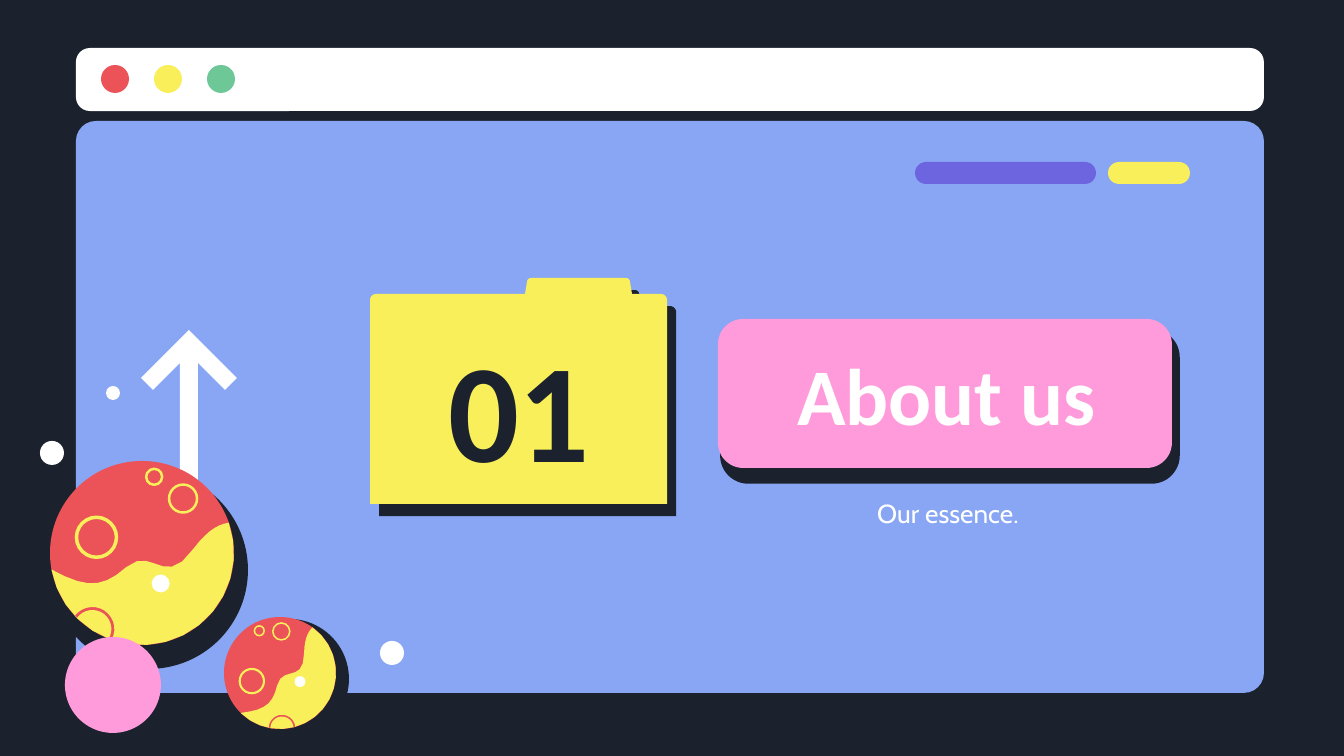
from math import atan2, cos, degrees, hypot, radians, sin

from lxml import etree
from pptx import Presentation
from pptx.dml.color import RGBColor
from pptx.enum.shapes import MSO_SHAPE
from pptx.enum.text import MSO_ANCHOR, MSO_AUTO_SIZE, PP_ALIGN
from pptx.oxml.ns import qn
from pptx.util import Pt

PX = 914400 / 134.4
NAVY = RGBColor(0x1B, 0x22, 0x2D)
BLUE = RGBColor(0x88, 0xA6, 0xF3)
WHITE = RGBColor(0xFF, 0xFF, 0xFF)
RED = RGBColor(0xEB, 0x53, 0x58)
YELLOW = RGBColor(0xF8, 0xEF, 0x5B)
GREEN = RGBColor(0x6D, 0xC7, 0x97)
PURPLE = RGBColor(0x6D, 0x65, 0xE0)
PINK = RGBColor(0xFF, 0x9B, 0xDA)
OVAL = MSO_SHAPE.OVAL
ROUND = MSO_SHAPE.ROUNDED_RECTANGLE
TOP, MIDDLE = MSO_ANCHOR.TOP, MSO_ANCHOR.MIDDLE
CENTER = PP_ALIGN.CENTER
NO_FIT = MSO_AUTO_SIZE.NONE

PLANET_R = 92
CRATERS = [(-48, 3, 20, 3.5), (17, -66, 14, 2.5), (-18, -75, 8, 2.5)]
EDGE_CRATER = (-16.5, 89.2, 22, 19)
WAVE = [(-77, 50), (-38, 54), (-23, 48), (-9, 19), (7, -12),
        (35, 26), (46, -24), (52, -47), (60, -56), (68, -61)]


def emu(px):
    return round(px * PX)


def arc(cx, cy, r, start, end):
    n = max(3, round(abs(end - start) / 12))
    angles = [radians(start + (end - start) * i / n) for i in range(n + 1)]
    return [(cx + r * cos(a), cy + r * sin(a)) for a in angles]


def bezier(points, n=7):
    curve = points[:1]
    for k in range(0, len(points) - 1, 3):
        for i in range(1, n + 1):
            t = i / n
            weights = ((1 - t) ** 3, 3 * t * (1 - t) ** 2, 3 * t * t * (1 - t), t ** 3)
            curve.append(tuple(sum(w * p[axis] for w, p in zip(weights, points[k:k + 4]))
                               for axis in (0, 1)))
    return curve


def edge_arc(cx, cy, r):
    d = hypot(cx, cy)
    outward = degrees(atan2(cy, cx))
    cut = (PLANET_R ** 2 - d * d - r * r) / (2 * d * r)
    half = degrees(atan2((1 - cut * cut) ** 0.5, cut))
    return arc(cx, cy, r, outward + half, outward + 360 - half)


class Slide:
    font = "Calibri"

    def __init__(self, prs):
        self.s = prs.slides.add_slide(prs.slide_layouts[5])
        self.s.background.fill.solid()
        self.s.background.fill.fore_color.rgb = NAVY

    def paint(self, sp, color):
        sp.shadow.inherit = False
        sp.fill.solid()
        sp.fill.fore_color.rgb = color
        sp.line.fill.background()
        return sp

    def round_rect(self, x, y, w, h, color, adj):
        sp = self.s.shapes.add_shape(ROUND, emu(x), emu(y), emu(w), emu(h))
        sp.adjustments[0] = adj
        return self.paint(sp, color)

    def circle(self, cx, cy, r, color):
        sp = self.s.shapes.add_shape(OVAL, emu(cx - r), emu(cy - r), emu(2 * r), emu(2 * r))
        return self.paint(sp, color)

    def ring(self, cx, cy, r, width, color):
        sp = self.circle(cx, cy, r, color)
        sp.fill.background()
        sp.line.color.rgb = color
        sp.line.width = emu(width)

    def freeform(self, contours, color):
        contours = [[(emu(x), emu(y)) for x, y in c] for c in contours]
        fb = self.s.shapes.build_freeform(*contours[0][0], scale=1.0)
        fb.add_line_segments(contours[0][1:], close=True)
        for c in contours[1:]:
            fb.move_to(*c[0])
            fb.add_line_segments(c[1:], close=True)
        return self.paint(fb.convert_to_shape(), color)

    def drop_shadow(self, sp, color, dist, angle):
        effects = sp.element.spPr.find(qn("a:effectLst"))
        shadow = etree.SubElement(effects, qn("a:outerShdw"), blurRad="0", dist=str(Pt(dist)),
                                  dir=str(angle * 60000), algn="bl", rotWithShape="0")
        etree.SubElement(shadow, qn("a:srgbClr"), val=str(color))

    def planet(self, cx, cy, r, tilt):
        k = r / PLANET_R
        a = radians(tilt)

        def place(x, y):
            return (cx + k * (x * cos(a) - y * sin(a)), cy + k * (x * sin(a) + y * cos(a)))

        self.circle(cx, cy, r, RED)
        for x, y, radius, width in CRATERS:
            self.ring(*place(x, y), radius * k, width * k, YELLOW)
        shore = [degrees(atan2(y, x)) for x, y in (WAVE[-1], WAVE[0])]
        x, y, outer, inner = EDGE_CRATER
        sea = bezier(WAVE) + arc(0, 0, PLANET_R, *shore)
        rim = edge_arc(x, y, outer) + edge_arc(x, y, inner)[::-1]
        self.freeform([[place(*p) for p in c] for c in (sea, rim)], YELLOW)
        self.circle(*place(29, 21), 9 * k, WHITE)

    def text(self, x, y, w, h, text, size, color, title=False, **style):
        fmt = {"name": self.font, "size": Pt(size), "bold": True, **style}
        anchor = fmt.pop("anchor", MIDDLE)
        if title:
            sp = self.s.shapes.title
            sp.element.getparent().append(sp.element)
        else:
            sp = self.s.shapes.add_textbox(0, 0, emu(w), emu(h))
        sp.left, sp.top, sp.width, sp.height = map(emu, (x, y, w, h))
        tf = sp.text_frame
        frame = {"word_wrap": True, "auto_size": NO_FIT, "vertical_anchor": anchor}
        frame.update({f"margin_{side}": emu(13) for side in ("left", "top", "right", "bottom")})
        for key, value in frame.items():
            setattr(tf, key, value)
        p = tf.paragraphs[0]
        p.alignment = CENTER
        r = p.add_run()
        r.text = text
        for key, value in fmt.items():
            setattr(r.font, key, value)
        r.font.color.rgb = color


def main():
    prs = Presentation()
    prs.slide_width, prs.slide_height = emu(1344), emu(756)
    s = Slide(prs)

    s.round_rect(76, 121, 1188, 572, BLUE, 0.035)
    s.round_rect(76, 48, 1188, 63, WHITE, 0.22)
    for cx, color in zip((115, 168, 221), (RED, YELLOW, GREEN)):
        s.circle(cx, 79, 14, color)
    s.round_rect(915, 162, 181, 22, PURPLE, 0.5)
    s.round_rect(1108, 162, 82, 22, YELLOW, 0.5)
    s.circle(52, 453, 12, WHITE)

    s.freeform([[(180, 577), (180, 363), (153, 390), (141, 378), (189, 330),
                 (237, 378), (225, 390), (198, 363), (198, 577)]], WHITE)

    base = s.round_rect(723, 332, 454, 149, NAVY, 0.17)
    base.line.color.rgb = NAVY
    base.line.width = Pt(3)
    s.round_rect(718, 319, 454, 149, PINK, 0.17)

    folder = s.freeform([[(667, 504), (370, 504), *arc(376, 300, 6, 180, 270), (525, 294),
                          *arc(531, 282, 4, 195, 270), *arc(626, 282, 4, 270, 345),
                          (632, 294), *arc(661, 300, 6, 270, 360)]], YELLOW)
    s.drop_shadow(folder, NAVY, 8.2, 53)

    s.text(405, 340, 228, 133, "01", 75, NAVY)
    s.text(732, 331, 429, 124, "About us", 43, WHITE, title=True)
    s.text(784, 484, 328, 93, "Our essence.", 14, WHITE, name="Cabin", bold=False, anchor=TOP)

    s.circle(149, 570, 99, NAVY)
    s.planet(142, 553, 92, 22.6)
    s.circle(113, 685, 48, PINK)
    s.circle(289, 679, 60, NAVY)
    s.planet(280, 673, 56, -12.6)
    s.circle(392, 653, 12, WHITE)
    s.circle(113, 393, 7, WHITE)

    prs.save("out.pptx")


if __name__ == "__main__":
    main()
